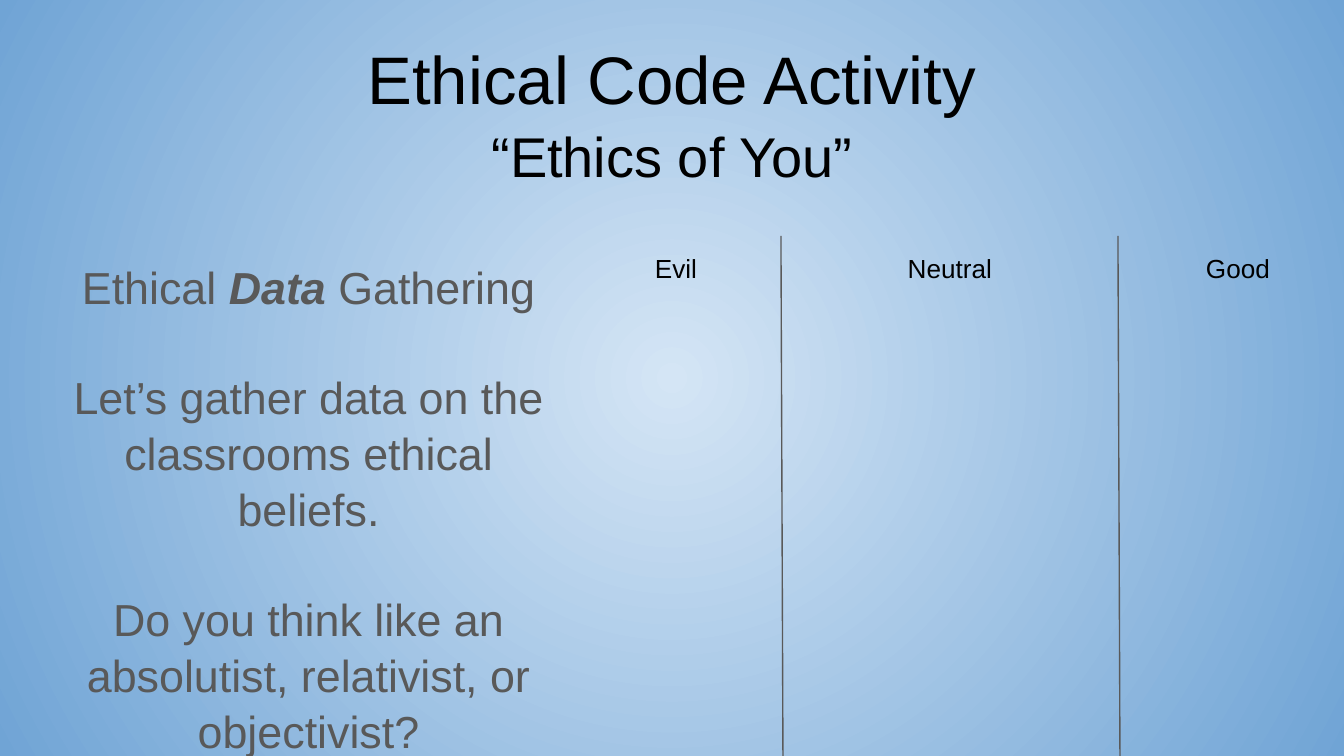
from pptx import Presentation
from pptx.dml.color import RGBColor
from pptx.enum.shapes import MSO_CONNECTOR
from pptx.enum.text import MSO_ANCHOR, MSO_AUTO_SIZE, PP_ALIGN
from pptx.oxml import parse_xml
from pptx.oxml.ns import nsdecls, qn
from pptx.util import Pt

SCALE = 914400 / 134.4
FONT = "Arial"
HUES = {"glow": "D4E5F5", "edge": "70A4D5", "ink": "000000", "gray": "595959"}


def px(n):
    return round(n * SCALE)


def hue(name):
    return RGBColor.from_string(HUES[name])


def place(shape, box):
    shape.left, shape.top, shape.width, shape.height = map(px, box)


def set_frame(frame, anchor=MSO_ANCHOR.TOP):
    frame.word_wrap = True
    frame.auto_size = MSO_AUTO_SIZE.NONE
    frame.vertical_anchor = anchor
    frame.margin_left = frame.margin_right = px(13)
    frame.margin_top = frame.margin_bottom = px(13)


def style(para, size, color, gap=0, pitch=1.0):
    para.alignment = PP_ALIGN.CENTER
    para.space_before = px(gap)
    para.space_after = 0
    para.line_spacing = pitch
    for run in para.runs:
        run.font.name = FONT
        run.font.size = Pt(size)
        run.font.color.rgb = hue(color)


def paint(slide):
    """Radial background, light in the centre."""
    fill = slide.background.fill
    fill.gradient()
    for stop, name in zip(fill.gradient_stops, ("glow", "edge")):
        stop.color.rgb = hue(name)
    grad = slide.element.find(".//" + qn("a:gradFill"))
    grad.replace(grad.find(qn("a:lin")), parse_xml(
        f'<a:path {nsdecls("a")} path="circle">'
        '<a:fillToRect l="50000" t="50000" r="50000" b="50000"/></a:path>'))


def add_title(slide, box):
    shape = slide.shapes.title
    place(shape, box)
    frame = shape.text_frame
    set_frame(frame, MSO_ANCHOR.BOTTOM)
    frame.text = "Ethical Code Activity\n“Ethics of You”"
    head, sub = frame.paragraphs
    style(head, 36, "ink")
    style(sub, 30, "ink", gap=4)


def add_body(slide, box):
    shape = slide.placeholders[1]
    place(shape, box)
    frame = shape.text_frame
    set_frame(frame)
    first = frame.paragraphs[0]
    for text in ("Ethical ", "Data", " Gathering"):
        first.add_run().text = text
    word = first.runs[1].font
    word.bold = word.italic = True
    for text in ("Let’s gather data on the classrooms ethical beliefs.",
                 "Do you think like an absolutist, relativist, or objectivist?"):
        frame.add_paragraph().text = text
    for i, para in enumerate(frame.paragraphs):
        style(para, 24, "gray", gap=54 if i else 0, pitch=1.04)


def add_chart_area(slide, box):
    """Three headed columns, parted by two lines."""
    left, top, width, height = box
    # Dividers
    for x in (187, 524):
        line = slide.shapes.add_connector(
            MSO_CONNECTOR.STRAIGHT, px(left + x), px(top),
            px(left + x + 2), px(top + height))
        line.line.color.rgb = hue("gray")
        line.line.width = Pt(0.75)
        line.element.spPr.append(parse_xml(f'<a:effectLst {nsdecls("a")}/>'))
    # Headings
    for text, x in (("Evil", 0), ("Neutral", 274), ("Good", 562)):
        label = slide.shapes.add_textbox(
            px(left + x), px(top + 3), px(164), px(43))
        set_frame(label.text_frame)
        label.text_frame.text = text
        style(label.text_frame.paragraphs[0], 14, "ink")


def main():
    deck = Presentation()
    deck.slide_width, deck.slide_height = px(1344), px(756)
    slide = deck.slides.add_slide(deck.slide_layouts[0])
    paint(slide)
    add_title(slide, (46, 26, 1252, 176))
    add_body(slide, (59, 245, 499, 504))
    add_chart_area(slide, (594, 236, 726, 520))
    deck.save("out.pptx")


if __name__ == "__main__":
    main()
